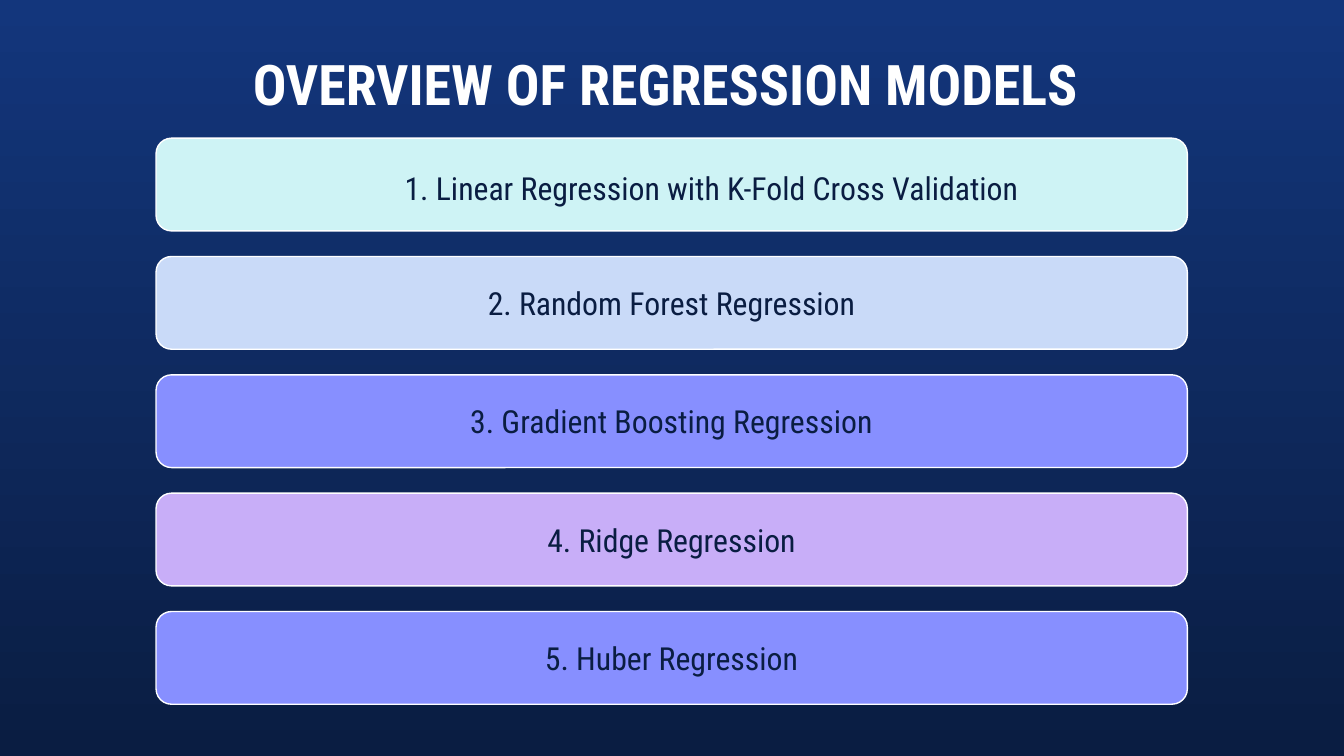
from pptx import Presentation
from pptx.dml.color import RGBColor
from pptx.enum import shapes, text
from pptx.util import Pt


def rgb(value):
    return RGBColor.from_string(value)


def add_text(sp, words, size, color, bold=False):
    tf = sp.text_frame
    tf.word_wrap = True
    tf.margin_left = tf.margin_right = tf.margin_top = tf.margin_bottom = Pt(7.2)
    p = tf.paragraphs[0]
    p.alignment = text.PP_ALIGN.CENTER
    r = p.add_run()
    r.text = words
    r.font.name = "Roboto Condensed"
    r.font.size = Pt(size)
    r.font.bold = bold
    r.font.color.rgb = rgb(color)
    return p


NAVY = "0A1D42"
MODELS = [
    ("1. Linear Regression with K-Fold Cross Validation", "CEF3F5"),
    ("2. Random Forest Regression", "C9DAF8"),
    ("3. Gradient Boosting Regression", "878FFF"),
    ("4. Ridge Regression", "C8AEF8"),
    ("5. Huber Regression", "878FFF"),
]

prs = Presentation()
prs.slide_width, prs.slide_height = Pt(720), Pt(405)
s = prs.slides.add_slide(prs.slide_layouts[6])

bg = s.background.fill
bg.gradient()
bg.gradient_angle = 270
for stop, color, position in zip(bg.gradient_stops, ("13367C", NAVY), (0, 1)):
    stop.color.rgb = rgb(color)
    stop.position = position

title = s.shapes.add_textbox(Pt(112.5), Pt(19.5), Pt(495), Pt(121))
add_text(title, "OVERVIEW OF REGRESSION MODELS ", 30, "FFFFFF", True)

paragraphs = []
for i, (words, color) in enumerate(MODELS):
    sp = s.shapes.add_shape(shapes.MSO_SHAPE.ROUNDED_RECTANGLE,
                            Pt(83.6), Pt(74 + 63.4 * i), Pt(552.5), Pt(49.7))
    sp.shadow.inherit = False
    sp.fill.solid()
    sp.fill.fore_color.rgb = rgb(color)
    sp.line.color.rgb = rgb("FFFFFF")
    sp.line.width = Pt(0.75)
    sp.text_frame.vertical_anchor = text.MSO_ANCHOR.MIDDLE
    paragraphs.append(add_text(sp, words, 17, NAVY))

p = paragraphs[0]
p.line_spacing = 1.15
p.space_before, p.space_after = Pt(18), Pt(4)
p._p.get_or_add_pPr().set("marL", str(Pt(43)))

prs.save("out.pptx")
